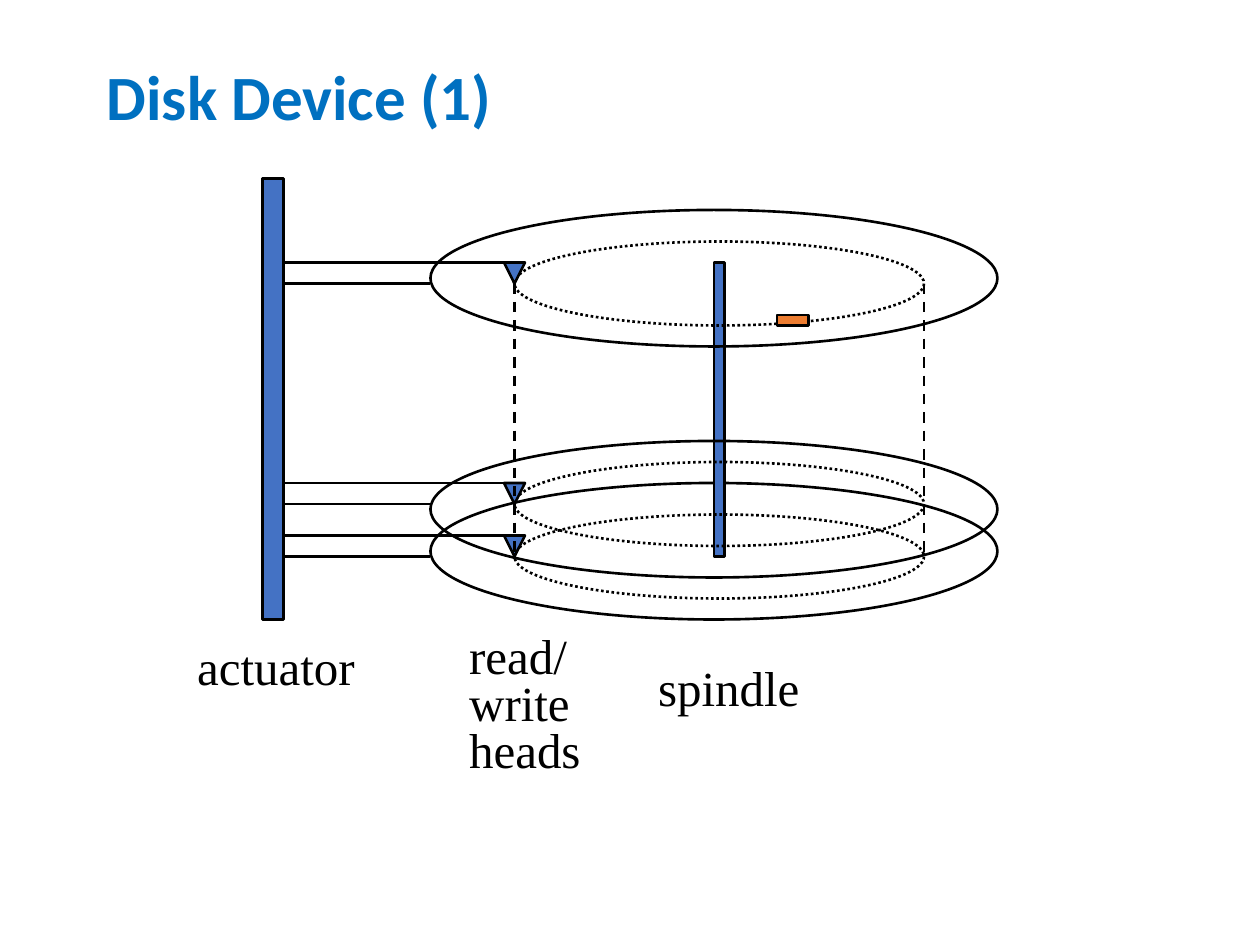
from lxml.etree import SubElement
from pptx import Presentation
from pptx.dml.color import RGBColor
from pptx.enum.dml import MSO_LINE
from pptx.enum.shapes import MSO_CONNECTOR, MSO_SHAPE
from pptx.enum.text import MSO_ANCHOR, MSO_AUTO_SIZE
from pptx.oxml.ns import qn
from pptx.util import Inches, Pt

BLUE, ORANGE, BLACK, TITLE_BLUE = "4472C4", "ED7D31", "000000", "0070C0"
ARM_ROWS = (25, 46, 51)
ACTUATOR_RIGHT, PLATTER_LEFT, TRACK_LEFT, TRACK_WIDTH = 27, 41, 49, 39


def grid(cells):
    """Return the length of a number of grid cells, twelve to the inch."""
    return Inches(cells / 12)


def color(hex_code):
    """Turn a hex string into a colour."""
    return RGBColor.from_string(hex_code)


def style_line(line, dash=None):
    """Apply the common black outline, dashed if asked."""
    line.color.rgb = color(BLACK)
    line.width = Pt(1.5)
    if dash:
        line.dash_style = dash


def add_part(slide, preset, left, top, width, height, fill=None, dash=None):
    """Add an outlined preset shape placed on the grid."""
    part = slide.shapes.add_shape(preset, *map(grid, (left, top, width, height)))
    part.shadow.inherit = False
    if fill:
        part.fill.solid()
        part.fill.fore_color.rgb = color(fill)
    else:
        part.fill.background()
    style_line(part.line, dash)


def add_platter(slide, top):
    """Add the outer rim of one disk platter."""
    add_part(slide, MSO_SHAPE.OVAL, PLATTER_LEFT, top, 54, 13)


def add_track(slide, top):
    """Add one dotted track."""
    add_part(slide, MSO_SHAPE.OVAL, TRACK_LEFT, top, TRACK_WIDTH, 8,
             dash=MSO_LINE.ROUND_DOT)


def add_line(slide, start, end, dash=None):
    """Add a straight line between two grid points."""
    edge = slide.shapes.add_connector(
        MSO_CONNECTOR.STRAIGHT, *map(grid, (*start, *end)))
    SubElement(edge._element.spPr, qn("a:effectLst"))
    style_line(edge.line, dash)


def add_arm(slide, row):
    """Add an arm's two edges and the read/write head at its tip."""
    add_line(slide, (ACTUATOR_RIGHT, row), (TRACK_LEFT + 1, row))
    add_line(slide, (ACTUATOR_RIGHT, row + 2), (PLATTER_LEFT, row + 2))
    add_part(slide, MSO_SHAPE.FLOWCHART_MERGE, TRACK_LEFT - 1, row, 2, 2, BLUE)


def add_text(slide, text, left, top, width, height, font="Times New Roman",
             size=28, hex_code=BLACK, bold=False, spacing=None,
             anchor=MSO_ANCHOR.TOP, wrap=False):
    """Add a text box with one paragraph for each line of text."""
    box = slide.shapes.add_textbox(*map(grid, (left, top, width, height)))
    frame = box.text_frame
    frame.word_wrap = wrap
    frame.auto_size = MSO_AUTO_SIZE.NONE if wrap else MSO_AUTO_SIZE.SHAPE_TO_FIT_TEXT
    frame.vertical_anchor = anchor
    frame.text = text
    for paragraph in frame.paragraphs:
        paragraph.line_spacing = spacing
        paragraph.font.name = font
        paragraph.font.size = Pt(size)
        paragraph.font.bold = bold
        paragraph.font.color.rgb = color(hex_code)


def main():
    """Build the disk device slide."""
    deck = Presentation()
    deck.slide_width, deck.slide_height = grid(120), grid(90)
    slide = deck.slides.add_slide(deck.slide_layouts[6])

    add_text(slide, "Disk Device (1)", 9, 3, 102, 13, font="Calibri", size=36,
             hex_code=TITLE_BLUE, bold=True, spacing=0.9,
             anchor=MSO_ANCHOR.MIDDLE, wrap=True)

    add_platter(slide, 46)
    add_part(slide, MSO_SHAPE.RECTANGLE, 68, 25, 1, 28, BLUE)
    for top in (42, 20):
        add_platter(slide, top)
    for row in ARM_ROWS:
        add_track(slide, row - 2)
    add_part(slide, MSO_SHAPE.RECTANGLE, 74, 30, 3, 1, ORANGE)

    add_part(slide, MSO_SHAPE.RECTANGLE, ACTUATOR_RIGHT - 2, 17, 2, 42, BLUE)
    for row in ARM_ROWS:
        add_arm(slide, row)

    add_text(slide, "actuator", 17.6, 60, 17.4, 6.9)
    add_text(slide, "read/\nwrite\nheads", 43.5, 60.1, 13.1, 14.6, spacing=0.8)
    add_text(slide, "spindle", 61.5, 62, 16.1, 6.9)

    for side in (TRACK_LEFT + TRACK_WIDTH, TRACK_LEFT):
        add_line(slide, (side, ARM_ROWS[0] + 2), (side, ARM_ROWS[-1] + 2),
                 MSO_LINE.DASH)

    deck.save("out.pptx")


if __name__ == "__main__":
    main()
